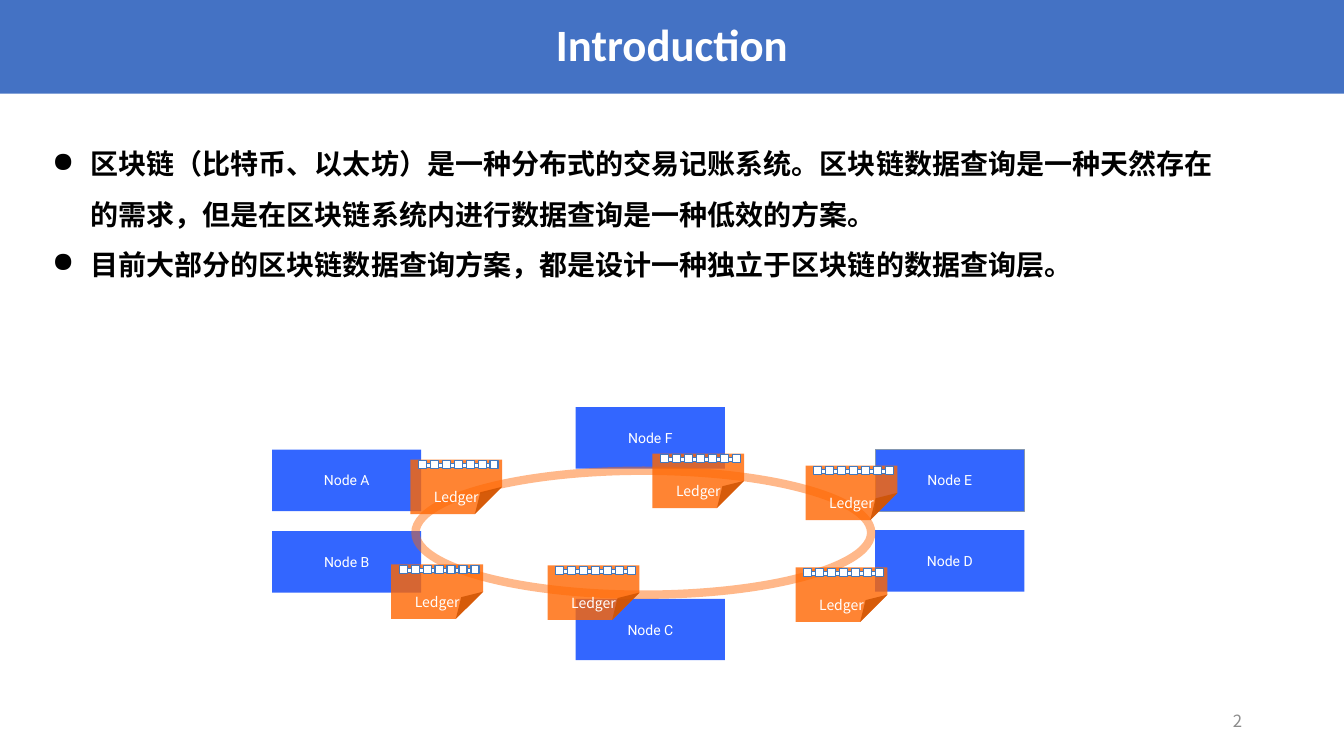
from dataclasses import dataclass

from lxml import etree
from pptx import Presentation, util as u
from pptx.dml.color import RGBColor
from pptx.enum import shapes, text
from pptx.oxml.ns import qn


@dataclass(frozen=True)
class Theme:
    banner: str = "4472C4"
    node: str = "3366FF"
    node_edge: str = "8497B0"
    ledger: str = "FF6600"
    chain: str = "4178BE"
    white: str = "FFFFFF"
    black: str = "000000"
    grey: str = "8C8C8C"
    title_size: int = 32
    body_size: int = 20
    page_size: int = 12
    label_size: int = 10
    main_font: str = "Calibri"
    node_font: str = "Roboto"
    plain_font: str = "Noto Sans CJK SC"


theme = Theme()
presentation = Presentation()
presentation.slide_width = u.Inches(13.33)
presentation.slide_height = u.Inches(7.5)
slide = presentation.slides.add_slide(presentation.slide_layouts[6])

# The slide is a grid of 100 columns by 100 rows.
column = presentation.slide_width / 100
row = presentation.slide_height / 100


def add_block(parent, kind, box, fill=None, line=None, width=1, opacity=100):
    """Add a shape placed in grid units; opacity is a percentage of its fill or line."""
    left, top, across, down = box
    shape = parent.add_shape(kind, round(left * column), round(top * row),
                             round(across * column), round(down * row))
    shape.shadow.inherit = False
    for paint, color in ((shape.fill, fill), (shape.line.fill, line)):
        if color is None:
            paint.background()
            continue
        paint.solid()
        paint.fore_color.rgb = RGBColor.from_string(color)
    if line:
        shape.line.width = u.Pt(width)
    if opacity < 100:
        for color in shape._element.spPr.iter(qn("a:srgbClr")):
            etree.SubElement(color, qn("a:alpha"), val=str(opacity * 1000))
    return shape


def write(paragraph, words, font, size, color, align, bold=False):
    paragraph.text = words
    paragraph.alignment = align
    paragraph.font.name = font
    paragraph.font.size = u.Pt(size)
    paragraph.font.bold = bold
    paragraph.font.color.rgb = RGBColor.from_string(color)


center = text.PP_ALIGN.CENTER
rectangle = shapes.MSO_SHAPE.RECTANGLE

banner = add_block(slide.shapes, rectangle, (0, -0.8, 100, 13.2), theme.banner)
banner.text_frame.vertical_anchor = text.MSO_ANCHOR.MIDDLE
write(banner.text_frame.paragraphs[0], "Introduction", theme.main_font,
      theme.title_size, theme.white, center, bold=True)

page = slide.shapes.add_textbox(round(70.67 * column), round(92.67 * row),
                                round(22.5 * column), round(5.33 * row))
page.text_frame.word_wrap = True
page.text_frame.vertical_anchor = text.MSO_ANCHOR.MIDDLE
write(page.text_frame.paragraphs[0], "2", theme.plain_font, theme.page_size,
      theme.grey, text.PP_ALIGN.RIGHT)

body = slide.shapes.add_textbox(round(3.15 * column), round(16.53 * row),
                                round(88.97 * column), round(20.8 * row))
body.text_frame.word_wrap = True
body.text_frame.auto_size = text.MSO_AUTO_SIZE.SHAPE_TO_FIT_TEXT
points = [
    "区块链（比特币、以太坊）是一种分布式的交易记账系统。区块链数据查询是一种天然存在的需求，但是在区块链系统内进行数据查询是一种低效的方案。",
    "目前大部分的区块链数据查询方案，都是设计一种独立于区块链的数据查询层。",
]
for index, point in enumerate(points):
    paragraph = body.text_frame.add_paragraph() if index else body.text_frame.paragraphs[0]
    paragraph.line_spacing = 1.5
    properties = paragraph._p.get_or_add_pPr()
    properties.set("marL", str(u.Inches(0.38)))
    properties.set("indent", str(-u.Inches(0.38)))
    etree.SubElement(properties, qn("a:buChar"), char="●")
    write(paragraph, point, theme.main_font, theme.body_size, theme.black,
          text.PP_ALIGN.LEFT, bold=True)

left_column, middle_column, right_column = 20.25, 42.84, 65.12
nodes = [
    ("Node A", left_column, 59.47, None),
    ("Node E", right_column, 59.47, theme.node_edge),
    ("Node B", left_column, 70.27, None),
    ("Node D", right_column, 70.13, None),
    ("Node C", middle_column, 79.2, None),
    ("Node F", middle_column, 53.87, None),
]
for name, left, top, edge in nodes:
    node = add_block(slide.shapes, rectangle, (left, top, 11.1, 8.13), theme.node, edge, 0.5)
    node.text_frame.vertical_anchor = text.MSO_ANCHOR.MIDDLE
    write(node.text_frame.paragraphs[0], name, theme.node_font, theme.label_size,
          theme.white, center)

add_block(slide.shapes, shapes.MSO_SHAPE.OVAL, (30.91, 62.27, 33.91, 16.4),
          line=theme.ledger, width=6, opacity=45)

ledgers = [(59.19, 75.07), (59.94, 61.6), (40.74, 74.8),
           (48.54, 60), (29.11, 74.67), (30.53, 60.8)]
chain_length, chain_pitch = 7, 0.89
for left, top in ledgers:
    group = slide.shapes.add_group_shape()
    ledger = add_block(group.shapes, shapes.MSO_SHAPE.FOLDED_CORNER,
                       (left, top, 6.83, 7.2), theme.ledger, opacity=80)
    # The preset lists no adjustments, so the fold size is set in XML.
    fold = ledger._element.spPr.find(qn("a:prstGeom")).get_or_add_avLst()
    etree.SubElement(fold, qn("a:gd"), name="adj", fmla="val 50000")
    # The label sits beside the fold, below the shape's own text area.
    frame = ledger.text_frame
    frame.vertical_anchor = text.MSO_ANCHOR.TOP
    frame.margin_left = frame.margin_right = 0
    frame.margin_top, frame.margin_bottom = u.Inches(0.29), u.Inches(-0.27)
    write(frame.paragraphs[0], "Ledger", theme.plain_font, theme.label_size,
          theme.white, center)
    for index in range(chain_length):
        block_left = left + 0.6 + index * chain_pitch
        add_block(group.shapes, rectangle, (block_left, top + 0.13, 0.6, 1.07),
                  theme.white, theme.chain)
        if index < chain_length - 1:
            add_block(group.shapes, rectangle, (block_left + 0.6, top + 0.53, 0.3, 0.53),
                      theme.white, theme.chain)

presentation.save("out.pptx")
